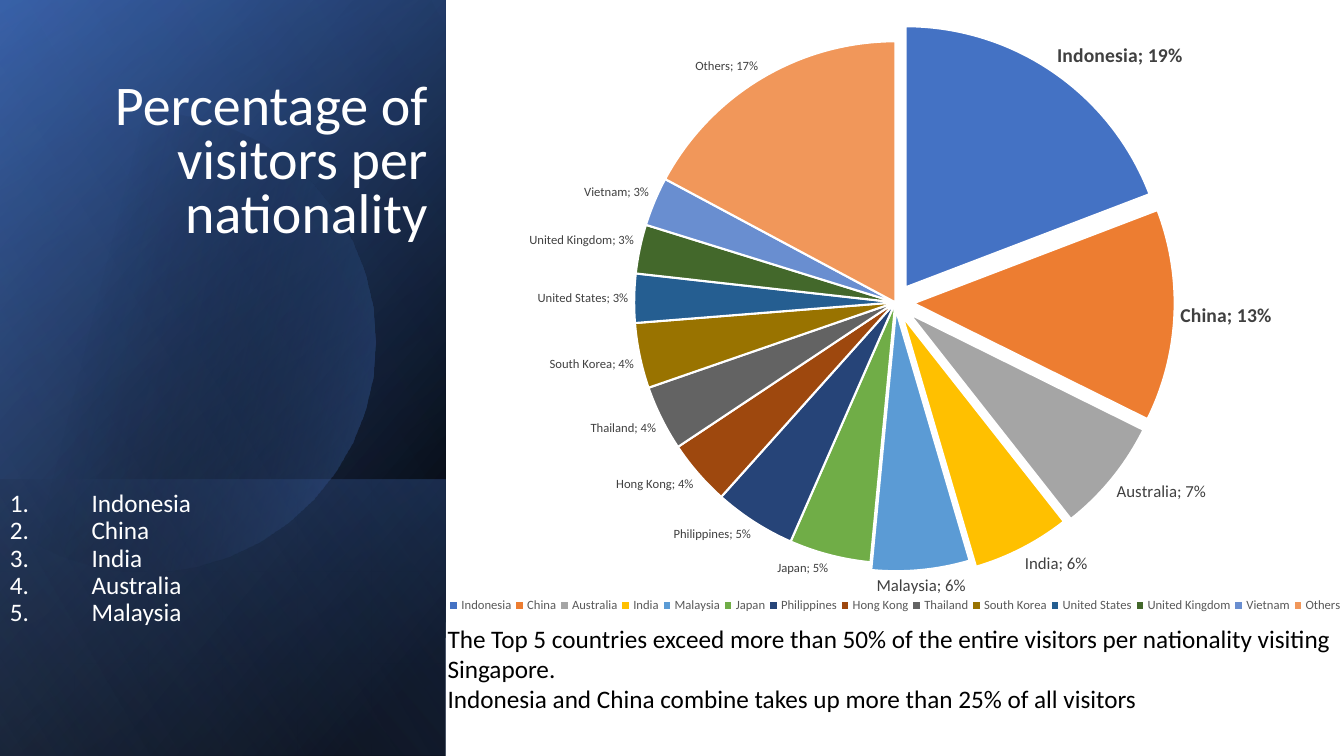
from math import acos, cos, sin
from lxml.etree import SubElement
from pptx import Presentation
from pptx.chart.data import CategoryChartData
from pptx.dml.color import RGBColor
from pptx.enum.chart import XL_CHART_TYPE, XL_LABEL_POSITION, XL_LEGEND_POSITION
from pptx.enum.shapes import MSO_SHAPE
from pptx.enum.text import MSO_ANCHOR, PP_ALIGN
from pptx.oxml.ns import qn
from pptx.util import Inches, Pt

# Content
TITLE = "Percentage of visitors per nationality"
TOP = ["Indonesia", "China", "India", "Australia", "Malaysia"]
NOTES = [
    "The Top 5 countries exceed more than 50% of the entire visitors per nationality visiting Singapore.",
    "Indonesia and China combine takes up more than 25% of all visitors",
]
SLICES = [
    ("Indonesia", 0.19, "4472C4"), ("China", 0.13, "ED7D31"),
    ("Australia", 0.07, "A5A5A5"), ("India", 0.06, "FFC000"),
    ("Malaysia", 0.06, "5B9BD5"), ("Japan", 0.05, "70AD47"),
    ("Philippines", 0.05, "264478"), ("Hong Kong", 0.04, "9E480E"),
    ("Thailand", 0.04, "636363"), ("South Korea", 0.04, "997300"),
    ("United States", 0.03, "255E91"), ("United Kingdom", 0.03, "43682B"),
    ("Vietnam", 0.03, "698ED0"), ("Others", 0.17, "F1975A"),
]
# Leading slices: explosion, label size, bold, label shift
LEAD = [(7, 14, True, 0), (7, 14, True, 0), (7, 12, False, 0),
        (6, 12, False, 0), (3, 12, False, -0.05)]
COLORS = {"white": "FFFFFF", "black": "000000", "navy": "2F5597", "blue": "4472C4",
          "pale": "8FAADC", "label": "404040", "legend": "595959"}
FONT = "Calibri"
WIDE, HIGH = 13.33, 7.5
SIDE = 4.42
# Chart frame, and the pie's centre and radius on the slide
CHART = (SIDE, -0.01, 8.92, 6.44)
PIE = (8.88, 3.0, 2.59)
# Side panels: top, angle, stops of (place, colour, opacity)
BASE = [
    (0, 50, [(8, "black", 100), (100, "navy", 100)]),
    (0, 30, [(0, "black", 0), (99, "blue", 46)]),
    (4.76, 130, [(2, "blue", 29), (100, "black", 30)]),
]
DISC = (14, [(29, "black", 0), (100, "blue", 43)])
GLAZE = (0, 120, [(0, "black", 0), (99, "pale", 11)])

deck = Presentation()
deck.slide_width, deck.slide_height = Inches(WIDE), Inches(HIGH)
slide = deck.slides.add_slide(deck.slide_layouts[5])
shapes = slide.shapes


def rgb(name):
    return RGBColor.from_string(COLORS[name])


def place(shape, left, top, width, height):
    shape.left, shape.top = Inches(left), Inches(top)
    shape.width, shape.height = Inches(width), Inches(height)


def style(font, size, color, bold=False):
    font.name, font.size, font.bold = FONT, Pt(size), bold
    font.color.rgb = rgb(color)


def write(shape, lines, size=18, color="black", align=PP_ALIGN.LEFT,
          anchor=MSO_ANCHOR.TOP, space=1.0, indent=0):
    frame = shape.text_frame
    frame.word_wrap, frame.vertical_anchor = True, anchor
    for i, line in enumerate(lines):
        para = frame.paragraphs[0] if i == 0 else frame.add_paragraph()
        para.alignment, para.line_spacing = align, space
        para.space_before = Pt(0)
        run = para.add_run()
        run.text = line
        style(run.font, size, color)
        if indent:
            props = para._p.get_or_add_pPr()
            props.set("marL", str(Inches(indent)))
            props.set("indent", str(-Inches(indent)))
            SubElement(props, qn("a:buFont"), typeface="+mj-lt")
            SubElement(props, qn("a:buAutoNum"), type="arabicPeriod")


def shade(shape, angle, stops):
    shape.shadow.inherit = False
    shape.line.fill.background()
    shape.fill.background()
    props = shape._element.spPr
    none = props.find(qn("a:noFill"))
    grad = SubElement(props, qn("a:gradFill"), rotWithShape="1")
    props.replace(none, grad)
    row = SubElement(grad, qn("a:gsLst"))
    for pos, color, alpha in stops:
        stop = SubElement(row, qn("a:gs"), pos=str(pos * 1000))
        tint = SubElement(stop, qn("a:srgbClr"), val=COLORS[color])
        SubElement(tint, qn("a:alpha"), val=str(alpha * 1000))
    SubElement(grad, qn("a:lin"), ang=str(angle * 60000), scaled="0")


def panel(top, angle, stops):
    # A quarter turn swaps the sides around a fixed centre
    tall = HIGH - top
    box = shapes.add_shape(MSO_SHAPE.RECTANGLE, 0, 0, 0, 0)
    place(box, (SIDE - tall) / 2, top + (tall - SIDE) / 2, tall, SIDE)
    box.rotation = 90
    box._element.spPr.find(qn("a:xfrm")).set("flipH", "1")
    shade(box, angle, stops)


def layout(item, left, top, width, height, inner=False):
    # Slide inches become shares of the chart frame
    x, y, w, h = CHART
    node = item.find(qn("c:layout"))
    if node is None:
        node = SubElement(item, qn("c:layout"))
    item.insert(0 if inner else 1, node)
    man = SubElement(node, qn("c:manualLayout"))
    if inner:
        SubElement(man, qn("c:layoutTarget"), val="inner")
    for key in ("xMode", "yMode"):
        SubElement(man, qn("c:" + key), val="edge")
    shares = ((left - x) / w, (top - y) / h, width / w, height / h)
    for key, val in zip("xywh", shares):
        SubElement(man, qn("c:" + key), val=str(val))


# Side panel with a disc cut off at the slide's edge
for item in BASE:
    panel(*item)
mid_x, mid_y, rad = 1.44, 3.39, 2.28
reach, steps = acos(-mid_x / rad), 30
turns = [reach * (2 * i / steps - 1) for i in range(steps + 1)]
dots = [(Inches(mid_x + rad * cos(t)), Inches(mid_y + rad * sin(t))) for t in turns]
pen = shapes.build_freeform(*dots[0])
pen.add_line_segments(dots[1:], close=True)
shade(pen.convert_to_shape(), *DISC)
panel(*GLAZE)

# Pie chart
data = CategoryChartData(number_format="0%")
data.categories = [name for name, _, _ in SLICES]
data.add_series("Series 1", [val for _, val, _ in SLICES])
chart = shapes.add_chart(XL_CHART_TYPE.PIE, *map(Inches, CHART), data).chart
chart.has_title = False
style(chart.font, 10, "black")
chart.has_legend = True
legend = chart.legend
legend.position, legend.include_in_layout = XL_LEGEND_POSITION.BOTTOM, False
style(legend.font, 9, "legend")
layout(legend._element, SIDE, 5.88, CHART[2], 0.26)
plot = chart.plots[0]
plot.vary_by_categories = True
hub_x, hub_y, ray = PIE
layout(chart._chartSpace.chart.plotArea, hub_x - ray, hub_y - ray,
       2 * ray, 2 * ray, inner=True)

# Slice labels and colours
series = plot.series[0]
labels = series.data_labels
labels.show_value = labels.show_category_name = True
labels.show_percentage = labels.show_legend_key = False
labels.number_format, labels.number_format_is_linked = "0%", False
labels.position = XL_LABEL_POSITION.OUTSIDE_END
style(labels.font, 9, "label")
for i, (_, _, color) in enumerate(SLICES):
    form = series.points[i].format
    form.fill.solid()
    form.fill.fore_color.rgb = RGBColor.from_string(color)
    form.line.color.rgb, form.line.width = rgb("white"), Pt(1.5)
for i, (_, size, bold, _) in enumerate(LEAD):
    label = series.points[i].data_label
    style(label.font, size, "label", bold)
    label.position = XL_LABEL_POSITION.OUTSIDE_END
ser = series._element
group = ser.find(qn("c:dLbls"))
tags = group.findall(qn("c:dLbl"))
for dot, tag, (push, _, _, shift) in zip(ser.findall(qn("c:dPt")), tags, LEAD):
    blast = SubElement(dot, qn("c:explosion"), val=str(push))
    dot.find(qn("c:spPr")).addprevious(blast)
    tag.find(qn("c:showCatName")).set("val", "1")
    tag.find(qn("c:showPercent")).set("val", "0")
    tag.insert(1, SubElement(tag, qn("c:numFmt"), formatCode="0%", sourceLinked="0"))
    if shift:
        node = SubElement(tag, qn("c:layout"))
        man = SubElement(node, qn("c:manualLayout"))
        SubElement(man, qn("c:x"), val=str(shift))
        SubElement(man, qn("c:y"), val="0")
        tag.insert(1, node)
for tag in [group, *tags]:
    mark = SubElement(tag, qn("c:separator"))
    mark.text = "; "
    lines = tag.find(qn("c:showLeaderLines"))
    if lines is not None:
        lines.set("val", "0")
        lines.addprevious(mark)

# Text
rank = shapes.add_textbox(0, Inches(4.78), Inches(SIDE), Inches(1.49))
write(rank, TOP, color="white", anchor=MSO_ANCHOR.BOTTOM, space=0.9, indent=0.81)
note = shapes.add_textbox(Inches(4.34), Inches(6.13), Inches(8.99), Inches(1.01))
write(note, NOTES)
title = shapes.title
place(title, 0.84, 0.57, 3.5, 1.9)
write(title, [TITLE], size=40, color="white", align=PP_ALIGN.RIGHT,
      anchor=MSO_ANCHOR.BOTTOM, space=0.8)
shapes._spTree.append(title._element)

deck.save("out.pptx")
